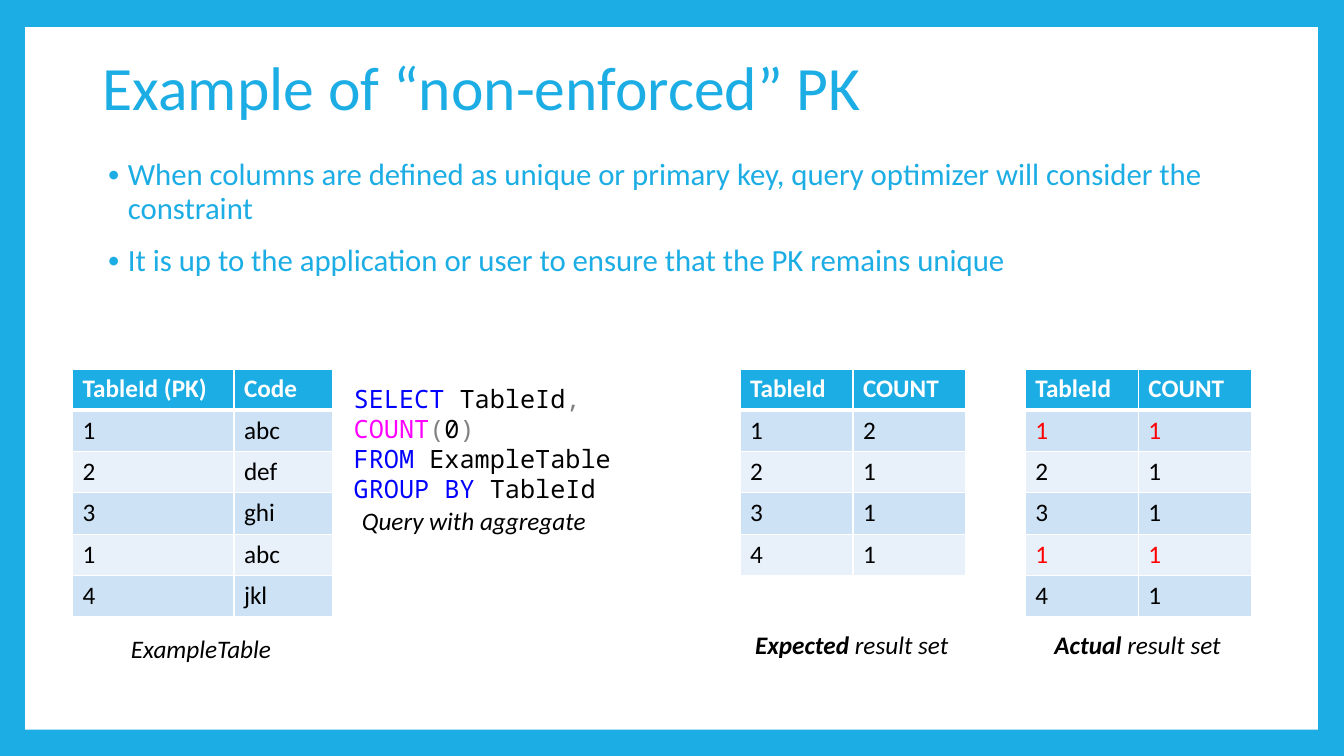
import pptx
import pptx.util
import pptx.dml.color
import pptx.enum.shapes
import pptx.enum.text
import pptx.oxml
import pptx.oxml.ns
from lxml import etree

Inches, Pt = pptx.util.Inches, pptx.util.Pt
COLORS = {
    "accent": "1CADE4", "white": "FFFFFF", "black": "000000", "red": "FF0000",
    "band_dark": "CDE3F5", "band_light": "E8F1FA",
    "keyword": "0000FF", "function": "FF00FF", "symbol": "808080",
}
ROW_H = 0.41
TABLE_TOP = 3.66


def rgb(name):
    return pptx.dml.color.RGBColor.from_string(COLORS[name])


def add_run(p, text, size=18, color="black", font="Calibri", bold=False, italic=False):
    r = p.add_run()
    r.text = text
    r.font.name, r.font.size = font, Pt(size)
    r.font.bold, r.font.italic = bold, italic
    r.font.color.rgb = rgb(color)


def add_box(s, x, y, w, h, wrap=True):
    tf = s.shapes.add_textbox(Inches(x), Inches(y), Inches(w), Inches(h)).text_frame
    tf.word_wrap = wrap
    return tf


def add_sub(parent, tag, **attrs):
    return etree.SubElement(parent, pptx.oxml.ns.qn(tag), attrs)


def add_panel(s, x, y, w, h):
    sp = s.shapes.add_shape(pptx.enum.shapes.MSO_SHAPE.RECTANGLE,
                            Inches(x), Inches(y), Inches(w), Inches(h))
    sp.shadow.inherit = False
    sp.fill.solid()
    sp.fill.fore_color.rgb = rgb("white")
    sp.line.fill.background()


def add_title(s, x, y, w, h, text):
    tf = add_box(s, x, y, w, h)
    tf.vertical_anchor = pptx.enum.text.MSO_ANCHOR.MIDDLE
    p = tf.paragraphs[0]
    p.line_spacing = 0.9
    add_run(p, text, 44, "accent")


def add_bullets(s, x, y, w, h, items):
    tf = add_box(s, x, y, w, h)
    for i, text in enumerate(items):
        p = tf.add_paragraph() if i else tf.paragraphs[0]
        p.line_spacing = 0.9
        p.space_before = Pt(14 if i else 0)
        pPr = p._p.get_or_add_pPr()
        pPr.set("marL", str(Inches(0.25)))
        pPr.set("indent", str(Inches(-0.2)))
        add_sub(add_sub(pPr, "a:buClr"), "a:srgbClr", val=COLORS["accent"])
        add_sub(pPr, "a:buSzPct", val="80000")
        add_sub(pPr, "a:buFont", typeface="Calibri")
        add_sub(pPr, "a:buChar", char="•")
        add_run(p, text, 22, "accent")


def style_cell(cell, fill, header):
    # Borders come before the fill in the cell properties
    tcPr = cell._tc.get_or_add_tcPr()
    for side in ("L", "R", "T", "B"):
        width = 3 if header and side == "B" else 1
        ln = add_sub(tcPr, f"a:ln{side}", w=str(Pt(width)))
        add_sub(add_sub(ln, "a:solidFill"), "a:srgbClr", val=COLORS["white"])
    cell.fill.solid()
    cell.fill.fore_color.rgb = rgb(fill)


def add_data_table(s, x, y, widths, rows, red_rows=()):
    table = s.shapes.add_table(len(rows), len(widths), Inches(x), Inches(y),
                               Inches(sum(widths)), Inches(ROW_H * len(rows))).table
    for column, width in zip(table.columns, widths):
        column.width = Inches(width)
    for i, values in enumerate(rows):
        header = i == 0
        table.rows[i].height = Inches(ROW_H)
        fill = "accent" if header else "band_dark" if i % 2 else "band_light"
        color = "white" if header else "red" if i in red_rows else "black"
        for j, text in enumerate(values):
            cell = table.cell(i, j)
            style_cell(cell, fill, header)
            add_run(cell.text_frame.paragraphs[0], text, color=color, bold=header)


def add_query(s, x, y, w, h, lines):
    tf = add_box(s, x, y, w, h)
    for i, line in enumerate(lines):
        p = tf.add_paragraph() if i else tf.paragraphs[0]
        for text, color in line:
            add_run(p, text, color=color, font="Noto Sans Mono")


def add_caption(s, x, y, w, text, strong=""):
    p = add_box(s, x, y, w, 0.4, wrap=False).paragraphs[0]
    if strong:
        add_run(p, strong, bold=True, italic=True)
    add_run(p, text, italic=True)


def main():
    prs = pptx.Presentation()
    prs.slide_width, prs.slide_height = Inches(13.33), Inches(7.5)
    s = prs.slides.add_slide(prs.slide_layouts[6])

    # Frame, title and bullets
    s.background.fill.solid()
    s.background.fill.fore_color.rgb = rgb("accent")
    add_panel(s, 0.25, 0.27, 12.82, 6.97)
    add_title(s, 0.92, 0.4, 11.5, 0.99, "Example of “non-enforced” PK")
    add_bullets(s, 0.92, 1.53, 11.5, 2.02, [
        "When columns are defined as unique or primary key, "
        "query optimizer will consider the constraint",
        "It is up to the application or user to ensure that the PK remains unique",
    ])

    # Source table
    add_data_table(s, 0.72, TABLE_TOP, [1.6, 0.98], [
        ("TableId (PK)", "Code"), ("1", "abc"), ("2", "def"),
        ("3", "ghi"), ("1", "abc"), ("4", "jkl")])
    add_caption(s, 1.2, 6.23, 1.61, "ExampleTable")

    # Query
    add_query(s, 3.41, 3.75, 3.73, 1.01, [
        [("SELECT ", "keyword"), ("TableId", "black"), (", ", "symbol"),
         ("COUNT", "function"), ("(", "symbol"), ("0", "black"), (")", "symbol")],
        [("FROM ", "keyword"), ("ExampleTable", "black")],
        [("GROUP BY ", "keyword"), ("TableId", "black")],
    ])
    add_caption(s, 3.49, 4.96, 2.45, "Query with aggregate")

    # Result sets
    header = ("TableId", "COUNT")
    add_data_table(s, 7.34, TABLE_TOP, [1.12, 1.12],
                   [header, ("1", "2"), ("2", "1"), ("3", "1"), ("4", "1")])
    add_caption(s, 7.39, 6.19, 2.15, " result set", "Expected")
    add_data_table(s, 10.17, TABLE_TOP, [1.12, 1.12],
                   [header] + [(key, "1") for key in "12314"], red_rows=(1, 4))
    add_caption(s, 10.36, 6.19, 1.88, " result set", "Actual")

    prs.save("out.pptx")


if __name__ == "__main__":
    main()
